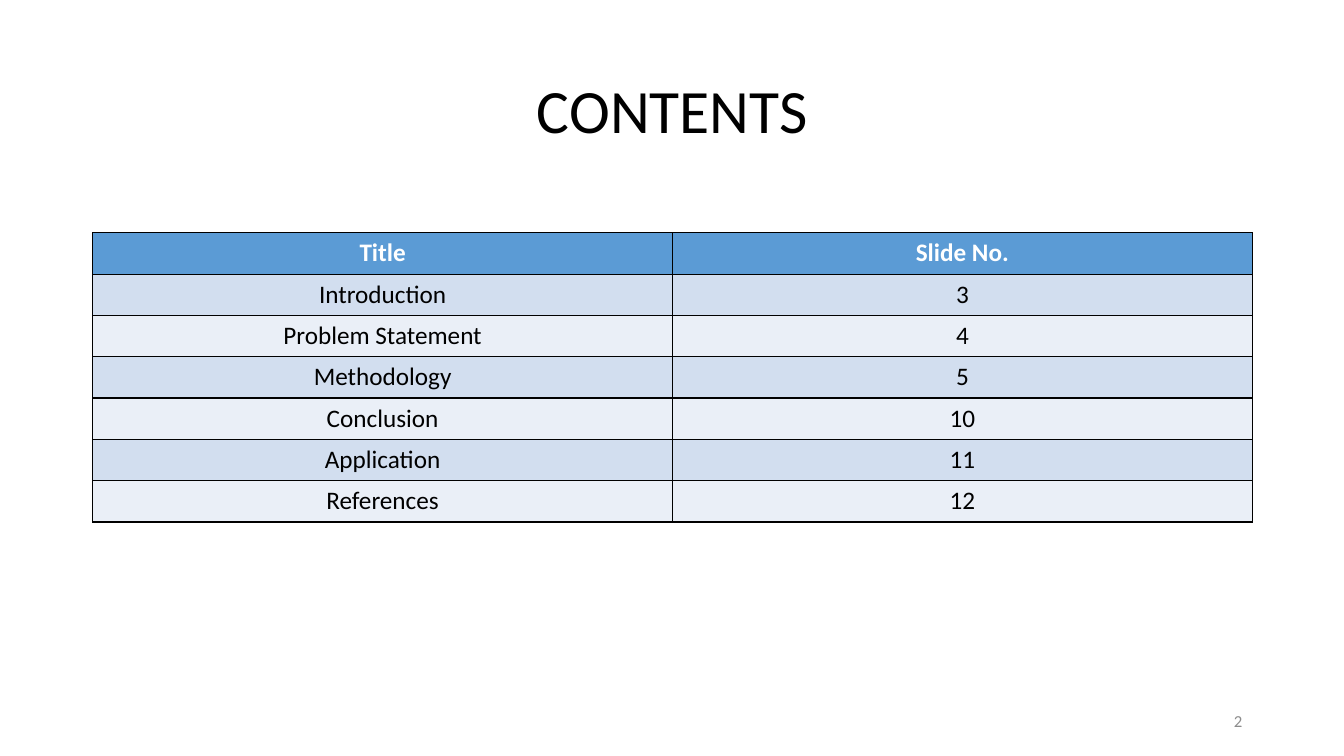
from dataclasses import dataclass

from lxml import etree
from pptx import Presentation
from pptx.dml.color import RGBColor
from pptx.enum.text import MSO_ANCHOR, PP_ALIGN
from pptx.oxml.ns import qn
from pptx.util import Inches, Pt

CENTER, RIGHT = PP_ALIGN.CENTER, PP_ALIGN.RIGHT
MIDDLE = MSO_ANCHOR.MIDDLE

SLIDE_WIDTH, SLIDE_HEIGHT = Inches(13.33), Inches(7.5)
MARGIN = Inches(0.92)
CONTENT_WIDTH = Inches(11.5)
ROW_HEIGHT = Inches(0.41)

CONTENTS = [
    ("Title", "Slide No."),
    ("Introduction", "3"),
    ("Problem Statement", "4"),
    ("Methodology", "5"),
    ("Conclusion", "10"),
    ("Application", "11"),
    ("References", "12"),
]


@dataclass(frozen=True)
class Theme:
    font: str = "Calibri"
    ink: str = "000000"
    header_ink: str = "FFFFFF"
    number_ink: str = "8C8C8C"
    header_fill: str = "5B9BD5"
    bands: tuple = ("D2DEEF", "EAEFF7")
    border: str = "000000"
    border_width: int = Pt(1)
    heading_size: int = 44
    table_size: int = 18
    number_size: int = 12


THEME = Theme()


def write(frame, text, size, color, align, bold=False, spacing=None):
    paragraph = frame.paragraphs[0]
    paragraph.alignment = align
    paragraph.line_spacing = spacing
    run = paragraph.add_run()
    run.text = text
    font_format = {"name": THEME.font, "size": Pt(size), "bold": bold}
    for attribute, value in font_format.items():
        setattr(run.font, attribute, value)
    run.font.color.rgb = RGBColor.from_string(color)


def add_label(slide, box, text, size, color, align, spacing=None):
    frame = slide.shapes.add_textbox(*box).text_frame
    frame.word_wrap = True
    frame.vertical_anchor = MIDDLE
    write(frame, text, size, color, align, spacing=spacing)


def add_borders(cell):
    properties = cell._tc.get_or_add_tcPr()
    for side in ("lnL", "lnR", "lnT", "lnB"):
        line = etree.SubElement(properties, qn(f"a:{side}"), w=str(THEME.border_width))
        fill = etree.SubElement(line, qn("a:solidFill"))
        etree.SubElement(fill, qn("a:srgbClr"), val=THEME.border)


def add_contents_table(slide, top):
    row_count, column_count = len(CONTENTS), len(CONTENTS[0])
    table = slide.shapes.add_table(
        row_count, column_count, MARGIN, top, CONTENT_WIDTH, ROW_HEIGHT * row_count
    ).table
    for row, entries in enumerate(CONTENTS):
        header = row == 0
        fill = THEME.header_fill if header else THEME.bands[(row - 1) % 2]
        ink = THEME.header_ink if header else THEME.ink
        for column, entry in enumerate(entries):
            cell = table.cell(row, column)
            # Border lines come before the fill in the cell properties
            add_borders(cell)
            cell.fill.solid()
            cell.fill.fore_color.rgb = RGBColor.from_string(fill)
            write(cell.text_frame, entry, THEME.table_size, ink, CENTER, bold=header)


def main():
    deck = Presentation()
    deck.slide_width, deck.slide_height = SLIDE_WIDTH, SLIDE_HEIGHT
    slide = deck.slides.add_slide(deck.slide_layouts[6])

    # Heading
    heading_box = (MARGIN, Inches(0.4), CONTENT_WIDTH, Inches(1.45))
    add_label(slide, heading_box, "CONTENTS", THEME.heading_size, THEME.ink, CENTER, 0.9)

    # Table of contents
    add_contents_table(slide, Inches(2.31))

    # Slide number, flush with the right edge of the table
    number_width = Inches(3)
    number_left = MARGIN + CONTENT_WIDTH - number_width
    number_box = (number_left, Inches(6.95), number_width, Inches(0.4))
    add_label(slide, number_box, "2", THEME.number_size, THEME.number_ink, RIGHT)

    deck.save("out.pptx")


if __name__ == "__main__":
    main()
